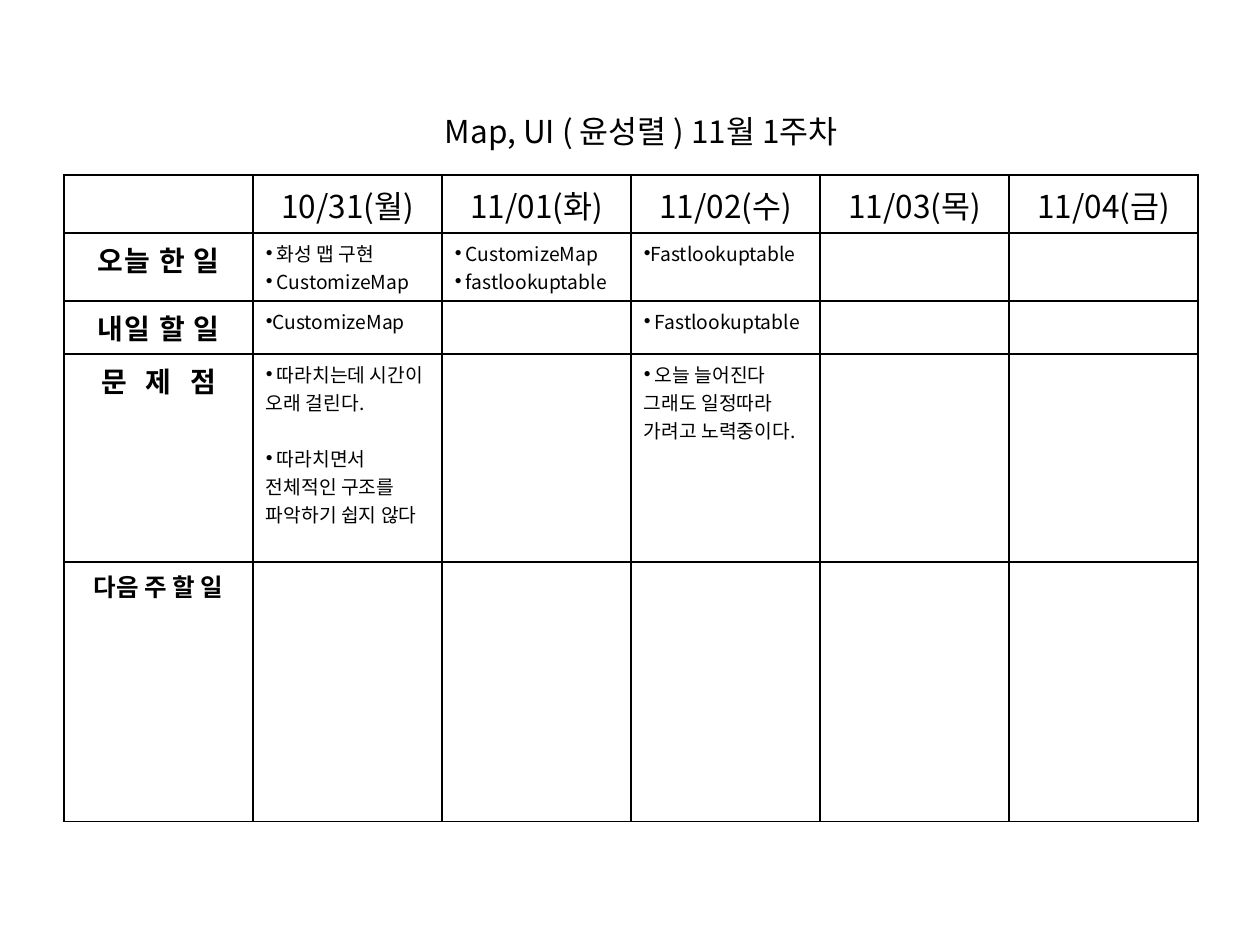
"""Builds the weekly work report slide."""
from dataclasses import dataclass

from pptx import Presentation
from pptx.dml.color import RGBColor
from pptx.enum.text import MSO_ANCHOR, MSO_AUTO_SIZE, PP_ALIGN
from pptx.oxml.ns import qn
from pptx.util import Inches, Pt
from lxml import etree


@dataclass(frozen=True)
class Theme:
    font: str = "Noto Sans CJK KR"
    ink: RGBColor = RGBColor(0, 0, 0)
    heading: int = 18
    label: int = 16
    small_label: int = 14
    body: int = 11
    paragraph_gap: int = 16
    border: int = 1


class ReportSlide:
    def __init__(self, presentation, theme):
        self.theme = theme
        self.slide = presentation.slides.add_slide(presentation.slide_layouts[5])

    def add_text(self, paragraph, text, size, bold=False, align=PP_ALIGN.LEFT, tracking=0):
        paragraph.alignment = align
        run = paragraph.add_run()
        run.text = text
        font = run.font
        font.name, font.size, font.bold = self.theme.font, Pt(size), bold
        font.color.rgb = self.theme.ink
        properties = run._r.get_or_add_rPr()
        etree.SubElement(properties, qn("a:ea"), typeface=self.theme.font)
        if tracking:
            properties.set("spc", str(round(tracking * 100)))

    def title(self, text, left, top, width, height):
        shape = self.slide.shapes.title
        shape.left, shape.top, shape.width, shape.height = map(Inches, (left, top, width, height))
        frame = shape.text_frame
        frame.word_wrap = False
        frame.auto_size = MSO_AUTO_SIZE.SHAPE_TO_FIT_TEXT
        frame.vertical_anchor = MSO_ANCHOR.TOP
        self.add_text(frame.paragraphs[0], text, self.theme.heading)

    def table(self, left, top, column_widths, row_heights):
        frame = self.slide.shapes.add_table(
            len(row_heights), len(column_widths), Inches(left), Inches(top),
            Inches(sum(column_widths)), Inches(sum(row_heights)))
        table = frame.table
        table.first_row = table.horz_banding = False
        for column, width in zip(table.columns, column_widths):
            column.width = Inches(width)
        for row, height in zip(table.rows, row_heights):
            row.height = Inches(height)
        for cell in table.iter_cells():
            self.frame_cell(cell)
        return table

    def frame_cell(self, cell):
        properties = cell._tc.get_or_add_tcPr()
        for side in ("lnL", "lnR", "lnT", "lnB"):
            line = etree.SubElement(properties, qn(f"a:{side}"), w=str(Pt(self.theme.border)))
            fill = etree.SubElement(line, qn("a:solidFill"))
            etree.SubElement(fill, qn("a:srgbClr"), val=str(self.theme.ink))
        cell.fill.background()
        cell.vertical_anchor = MSO_ANCHOR.TOP
        etree.SubElement(cell.text_frame.paragraphs[0]._p, qn("a:endParaRPr"),
                         sz=str(self.theme.body * 100))

    def centred(self, cell, text, size, bold=False, tracking=0):
        self.add_text(cell.text_frame.paragraphs[0], text, size, bold, PP_ALIGN.CENTER, tracking)

    def bullets(self, cell, items, gap=0):
        for index, text in enumerate(items):
            frame = cell.text_frame
            paragraph = frame.add_paragraph() if index else frame.paragraphs[0]
            if index and gap:
                paragraph.space_before = Pt(gap)
            self.add_text(paragraph, text, self.theme.body)
            properties = paragraph._p.get_or_add_pPr()
            properties.set("marL", "0")
            properties.set("indent", "0")
            etree.SubElement(properties, qn("a:buFont"), typeface="Arial")
            etree.SubElement(properties, qn("a:buChar"), char="•")


DAYS = ["10/31(월)", "11/01(화)", "11/02(수)", "11/03(목)", "11/04(금)"]
THEME = Theme()
LABELS = [
    ("오늘 한 일", THEME.label, 0.7),
    ("내일 할 일", THEME.label, 0.7),
    ("문 제 점", THEME.label, 3.6),
    ("다음 주 할 일", THEME.small_label, 0),
]
ENTRIES = {
    (1, 1): [" 화성 맵 구현", " CustomizeMap"],
    (1, 2): [" CustomizeMap", " fastlookuptable"],
    (1, 3): ["Fastlookuptable"],
    (2, 1): ["CustomizeMap"],
    (2, 3): [" Fastlookuptable"],
    (3, 1): [" 따라치는데 시간이 오래 걸린다.", " 따라치면서 전체적인 구조를 파악하기 쉽지 않다"],
    (3, 3): [" 오늘 늘어진다 그래도 일정따라 가려고 노력중이다."],
}
PROBLEM_ROW = 3


def main():
    presentation = Presentation()
    presentation.slide_width, presentation.slide_height = Inches(10), Inches(7.5)
    report = ReportSlide(presentation, THEME)
    report.title("Map, UI ( 윤성렬 ) 11월 1주차", 3.43, 0.84, 3.73, 0.4)
    table = report.table(0.51, 1.39, [1.5] * 6, [0.46, 0.54, 0.42, 1.65, 2.06])
    for column, day in enumerate(DAYS, 1):
        report.centred(table.cell(0, column), day, THEME.heading)
    for row, (label, size, tracking) in enumerate(LABELS, 1):
        report.centred(table.cell(row, 0), label, size, True, tracking)
    for (row, column), items in ENTRIES.items():
        gap = THEME.paragraph_gap if row == PROBLEM_ROW else 0
        report.bullets(table.cell(row, column), items, gap)
    presentation.save("out.pptx")


main()
